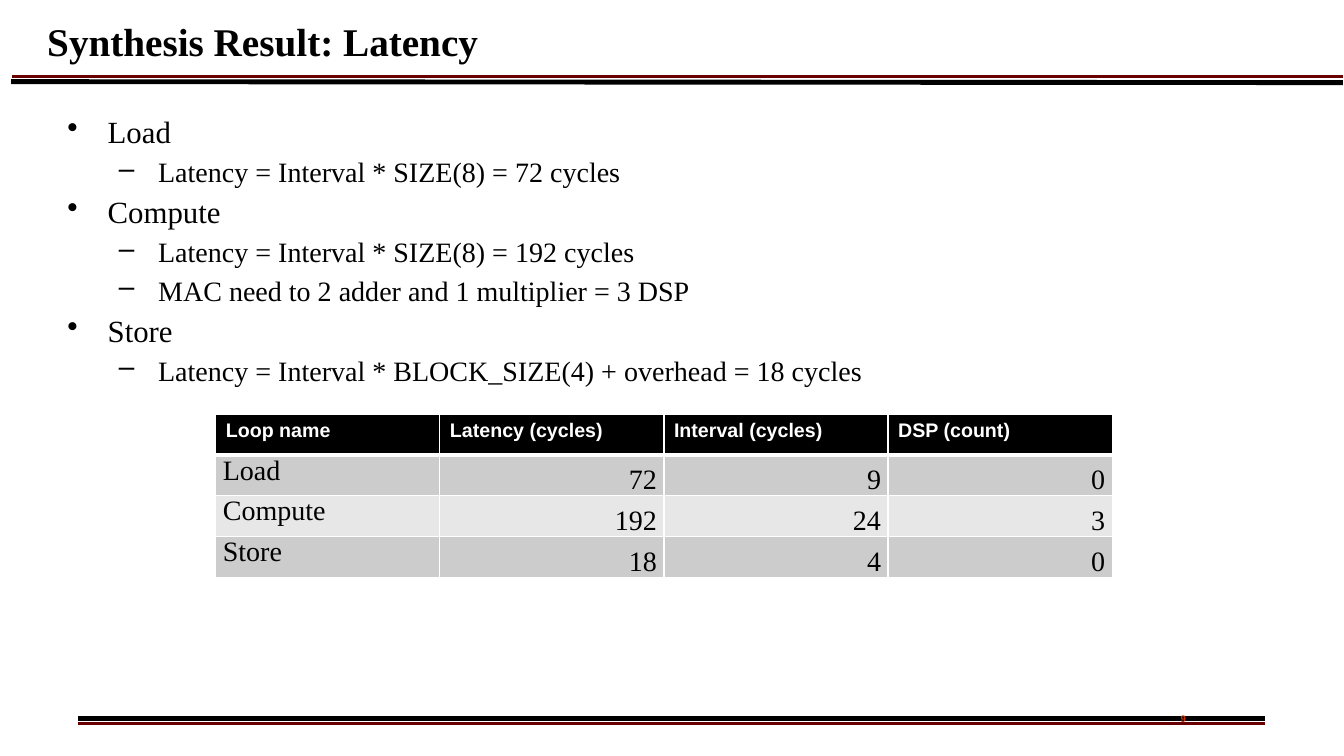
from lxml.etree import SubElement
from pptx import Presentation
from pptx.dml.color import RGBColor
from pptx.enum.shapes import MSO_CONNECTOR
from pptx.enum.text import MSO_ANCHOR, PP_ALIGN
from pptx.oxml.ns import qn
from pptx.util import Inches, Pt

SERIF, SANS = "Times New Roman", "Arial"
BLACK, WHITE, MAROON = "000000", "FFFFFF", "680000"

# Rules: start x, start y, end x, end y, colour, width
RULES = [
    (0.77, 7.18, 12.55, 7.18, MAROON, 2),
    (0.77, 7.13, 12.55, 7.13, BLACK, 3.5),
    (0.12, 0.76, 13.32, 0.76, MAROON, 2),
    (0.11, 0.81, 13.32, 0.82, BLACK, 3.5),
]
# Bullets: level, text
BULLETS = [
    (0, "Load"),
    (1, "Latency = Interval * SIZE(8) = 72 cycles"),
    (0, "Compute"),
    (1, "Latency = Interval * SIZE(8) = 192 cycles"),
    (1, "MAC need to 2 adder and 1 multiplier = 3 DSP"),
    (0, "Store"),
    (1, "Latency = Interval * BLOCK_SIZE(4) + overhead = 18 cycles"),
]
# Bullet formats by level: character, left margin, hanging indent, text size
LEVELS = [("•", 0.5, -0.4, 22), ("–", 1, -0.39, 20)]
LOOPS = [
    ("Loop name", "Latency (cycles)", "Interval (cycles)", "DSP (count)"),
    ("Load", "72", "9", "0"),
    ("Compute", "192", "24", "3"),
    ("Store", "18", "4", "0"),
]
ROW_FILLS = [BLACK, "CCCCCC", "E7E7E7", "CCCCCC"]


def color(value):
    return RGBColor.from_string(value)


def set_margins(target, horizontal, vertical):
    margins = {"margin_left": horizontal, "margin_right": horizontal,
               "margin_top": vertical, "margin_bottom": vertical}
    for name, value in margins.items():
        setattr(target, name, Inches(value))


def add_span(para, text, size, font=SERIF, fill=BLACK, bold=False):
    span = para.add_run()
    span.text = text
    for name, value in {"name": font, "size": Pt(size), "bold": bold}.items():
        setattr(span.font, name, value)
    span.font.color.rgb = color(fill)


def add_box(page, left, top, width, height, margins=(0.1, 0.05)):
    box = page.shapes.add_textbox(Inches(left), Inches(top), Inches(width), Inches(height))
    frame = box.text_frame
    frame.word_wrap = True
    set_margins(frame, *margins)
    return frame


def add_rule(page, x1, y1, x2, y2, fill, width):
    rule = page.shapes.add_connector(
        MSO_CONNECTOR.STRAIGHT, Inches(x1), Inches(y1), Inches(x2), Inches(y2))
    rule.line.color.rgb = color(fill)
    rule.line.width = Pt(width)
    SubElement(rule._element.spPr, qn("a:effectLst"))


def add_bullet(para, level, text):
    mark, margin, indent, size = LEVELS[level]
    para.level = level
    para.space_before = Pt(3.4)
    properties = para._p.get_or_add_pPr()
    properties.set("marL", str(Inches(margin)))
    properties.set("indent", str(Inches(indent)))
    mark_color = SubElement(properties, qn("a:buClr"))
    SubElement(mark_color, qn("a:srgbClr"), val=BLACK)
    SubElement(properties, qn("a:buChar"), char=mark)
    add_span(para, text, size)


def set_borders(cell, top, bottom):
    properties = cell._tc.get_or_add_tcPr()
    widths = {"a:lnL": 1, "a:lnR": 1, "a:lnT": top, "a:lnB": bottom}
    for index, (tag, width) in enumerate(widths.items()):
        border = SubElement(properties, qn(tag), w=str(Pt(width)))
        fill = SubElement(border, qn("a:solidFill"))
        SubElement(fill, qn("a:srgbClr"), val=WHITE)
        properties.insert(index, border)


def fill_cell(cell, row, column, text):
    cell.fill.solid()
    cell.fill.fore_color.rgb = color(ROW_FILLS[row])
    para = cell.text_frame.paragraphs[0]
    if row == 0:
        add_span(para, text, 14, SANS, WHITE, True)
    else:
        set_margins(cell, 0.07, 0)
        add_span(para, text, 20)
        if column > 0:
            cell.vertical_anchor = MSO_ANCHOR.BOTTOM
            para.alignment = PP_ALIGN.RIGHT
    # A thick line separates the header from the loops
    set_borders(cell, 3 if row == 1 else 1, 3 if row == 0 else 1)


def add_loop_table(page, left, top, width, height):
    table = page.shapes.add_table(
        len(LOOPS), len(LOOPS[0]),
        Inches(left), Inches(top), Inches(width), Inches(height)).table
    for row, texts in enumerate(LOOPS):
        for column, text in enumerate(texts):
            fill_cell(table.cell(row, column), row, column, text)


def main():
    deck = Presentation()
    deck.slide_width, deck.slide_height = Inches(13.33), Inches(7.5)
    page = deck.slides.add_slide(deck.slide_layouts[6])

    # Header and footer rules
    for rule in RULES:
        add_rule(page, *rule)

    # Page number
    number = add_box(page, 11.23, 7.04, 1.01, 0.24, (0.06, 0.03)).paragraphs[0]
    number.alignment = PP_ALIGN.CENTER
    add_span(number, "9", 6.8, SANS, "CC3300", True)

    # Title
    title = add_box(page, 0.37, 0.05, 12.71, 0.71)
    title.vertical_anchor = MSO_ANCHOR.MIDDLE
    add_span(title.paragraphs[0], "Synthesis Result: Latency", 28, bold=True)

    # Bullet list
    body = add_box(page, 0.47, 1.07, 12.49, 5.51)
    for index, (level, text) in enumerate(BULLETS):
        para = body.add_paragraph() if index else body.paragraphs[0]
        add_bullet(para, level, text)

    # Loop results
    add_loop_table(page, 2.14, 4.11, 8.89, 1.62)

    deck.save("out.pptx")


if __name__ == "__main__":
    main()
